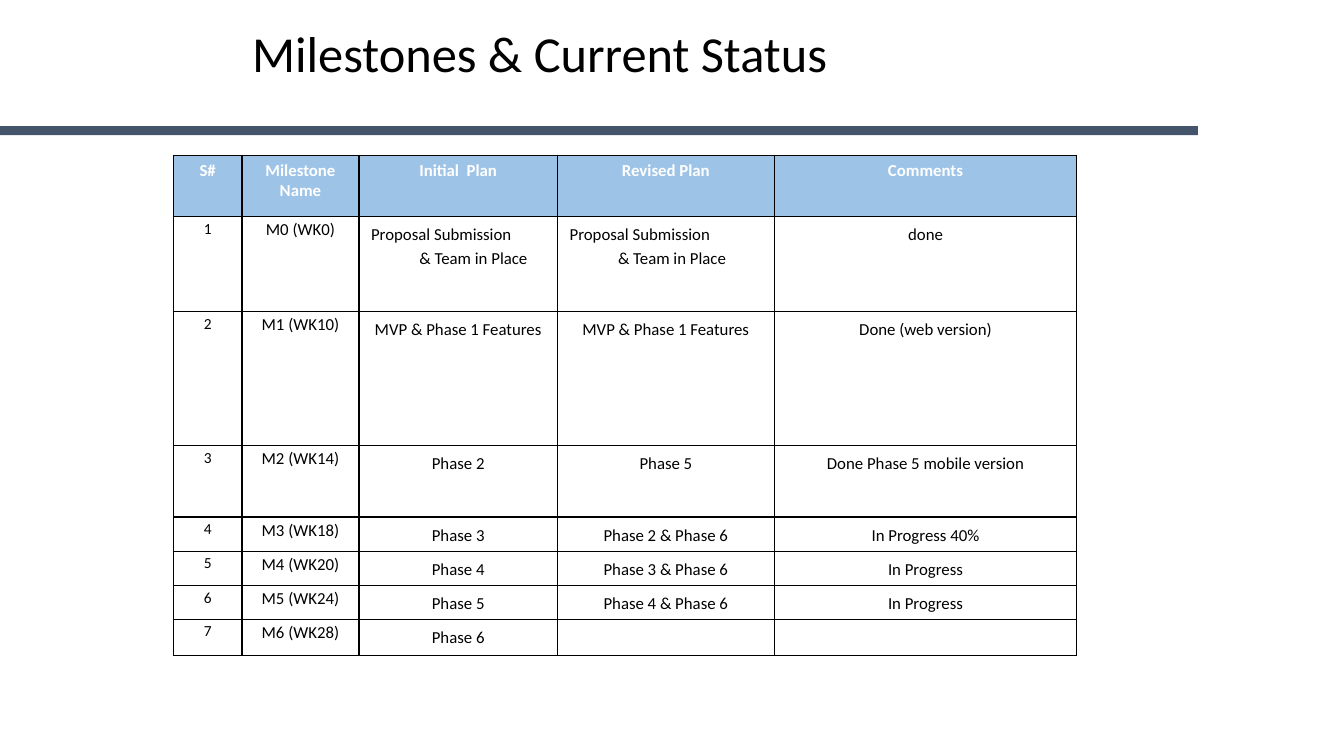
from lxml import etree
from pptx import Presentation, util as u
from pptx.dml.color import RGBColor
from pptx.enum import shapes, text
from pptx.oxml.ns import qn

HUES = {"bar": "44546A", "head": "9DC3E6", "ink": "000000", "light": "FFFFFF"}
FONT = "Calibri"
WIDE, HIGH = 13.33, 7.5
COLS = [0.68, 1.16, 1.97, 2.15, 3]
ROWS = [0.61, 0.94, 1.33, 0.71, 0.34, 0.34, 0.33, 0.36]
TEAM = "Proposal Submission\v& Team in Place"
MVP = "MVP & Phase 1 Features"
HEAD = ["S#", "Milestone Name", "Initial  Plan", "Revised Plan", "Comments"]
STEPS = [
    ("M0 (WK0)", TEAM, TEAM, "done"),
    ("M1 (WK10)", MVP, MVP, "Done (web version)"),
    ("M2 (WK14)", "Phase 2", "Phase 5", "Done Phase 5 mobile version"),
    ("M3 (WK18)", "Phase 3", "Phase 2 & Phase 6", "In Progress 40%"),
    ("M4 (WK20)", "Phase 4", "Phase 3 & Phase 6", "In Progress"),
    ("M5 (WK24)", "Phase 5", "Phase 4 & Phase 6", "In Progress"),
    ("M6 (WK28)", "Phase 6", "", ""),
]


def hue(name):
    return RGBColor.from_string(HUES[name])


def style(font, size, name, bold=False):
    font.name, font.size, font.bold = FONT, u.Pt(size), bold
    font.color.rgb = hue(name)


def edge(cell):
    props = cell._tc.get_or_add_tcPr()
    for spot, side in enumerate(("lnL", "lnR", "lnT", "lnB")):
        line = etree.Element(qn("a:" + side), w=str(u.Pt(1)))
        fill = etree.SubElement(line, qn("a:solidFill"))
        etree.SubElement(fill, qn("a:srgbClr"), val=HUES["ink"])
        props.insert(spot, line)


def indent(para):
    props = para._p.get_or_add_pPr()
    props.set("marL", str(u.Inches(0.5)))
    props.set("indent", str(u.Inches(-0.48)))
    para.alignment = text.PP_ALIGN.LEFT


def fill_cell(cell, words, row, col):
    top = row == 0
    tight = not top and col < 2
    cell.margin_left = cell.margin_right = u.Inches(0.07 if tight else 0.1)
    cell.margin_top = cell.margin_bottom = u.Inches(0 if tight else 0.05)
    cell.text_frame.text = words
    para = cell.text_frame.paragraphs[0]
    para.alignment = text.PP_ALIGN.CENTER
    size = 11 if col == 0 and not top else 12
    para.font.size = u.Pt(size)
    if not top:
        para.line_spacing = 1.15
        para.space_after = u.Pt(10)
    if "\v" in words:
        indent(para)
    for run in para.runs:
        style(run.font, size, "light" if top else "ink", top)
    if top:
        cell.fill.solid()
        cell.fill.fore_color.rgb = hue("head")
    else:
        cell.fill.background()
    edge(cell)


def add_bar(slide, box):
    bar = slide.shapes.add_shape(shapes.MSO_SHAPE.RECTANGLE, *map(u.Inches, box))
    bar.shadow.inherit = False
    bar.fill.solid()
    bar.fill.fore_color.rgb = hue("bar")
    bar.line.fill.background()


def add_title(slide, box):
    title = slide.shapes.title
    title.left, title.top, title.width, title.height = map(u.Inches, box)
    frame = title.text_frame
    frame.text = "Milestones & Current Status"
    frame.vertical_anchor = text.MSO_ANCHOR.MIDDLE
    para = frame.paragraphs[0]
    para.alignment = text.PP_ALIGN.LEFT
    para.line_spacing = 0.9
    style(para.runs[0].font, 36, "ink")


def add_plan(slide, left, top):
    box = map(u.Inches, (left, top, sum(COLS), sum(ROWS)))
    grid = slide.shapes.add_table(len(ROWS), len(COLS), *box).table
    grid.horz_banding = False
    for col, width in zip(grid.columns, COLS):
        col.width = u.Inches(width)
    for row, height in zip(grid.rows, ROWS):
        row.height = u.Inches(height)
    lines = [HEAD] + [(str(n), *step) for n, step in enumerate(STEPS, 1)]
    for r, line in enumerate(lines):
        for c, words in enumerate(line):
            fill_cell(grid.cell(r, c), words, r, c)


def main():
    deck = Presentation()
    deck.slide_width, deck.slide_height = u.Inches(WIDE), u.Inches(HIGH)
    slide = deck.slides.add_slide(deck.slide_layouts[5])
    add_bar(slide, (0, HIGH / 6, 11.88, 0.09))
    add_title(slide, (2.4, 0.18, 8.62, 0.76))
    add_plan(slide, 1.72, 1.54)
    deck.save("out.pptx")


if __name__ == "__main__":
    main()
